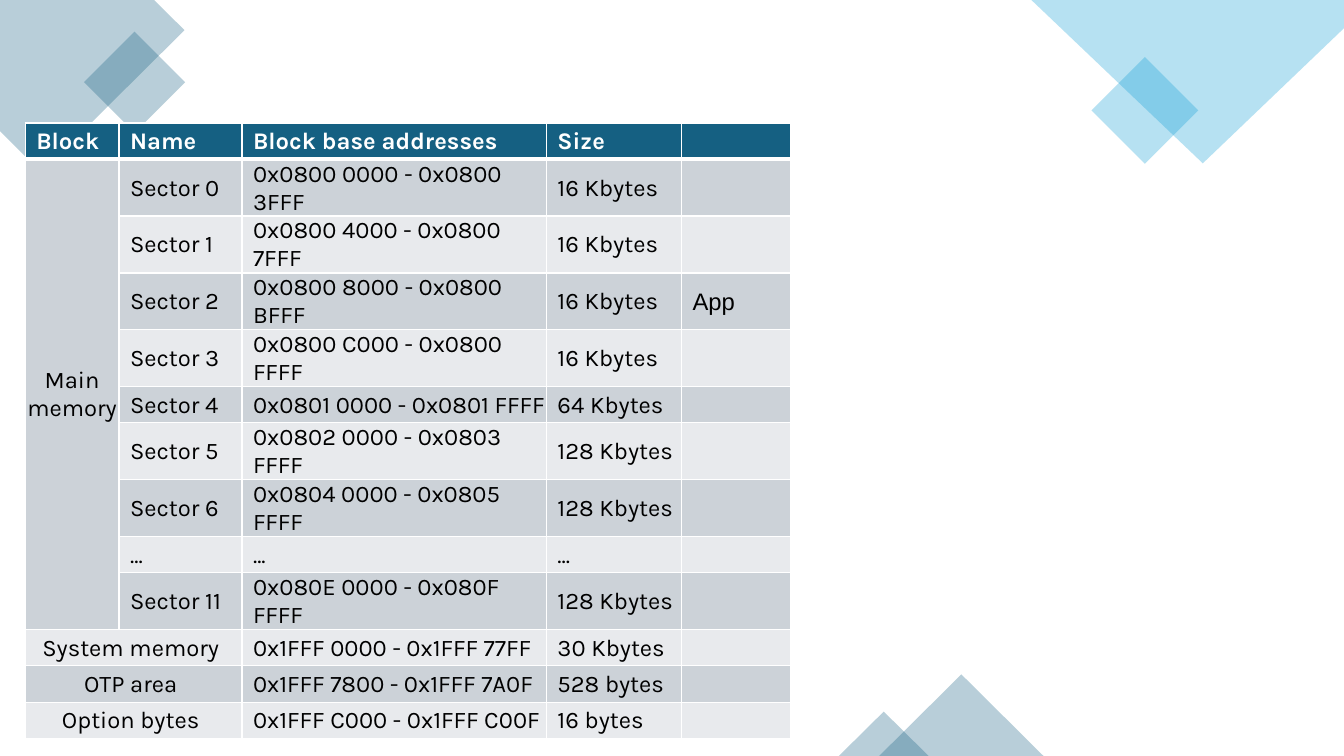
from lxml import etree
from pptx import Presentation
from pptx.dml.color import RGBColor
from pptx.enum.shapes import MSO_SHAPE
from pptx.enum.text import MSO_ANCHOR, PP_ALIGN
from pptx.oxml.ns import qn
from pptx.util import Pt

SCALE = 9144
RECTANGLE = MSO_SHAPE.RECTANGLE
TRIANGLE = MSO_SHAPE.ISOSCELES_TRIANGLE
MIDDLE = MSO_ANCHOR.MIDDLE
LEFT, CENTER = PP_ALIGN.LEFT, PP_ALIGN.CENTER
COLORS = {
    "teal": "156082",
    "sky": "0F9ED5",
    "white": "FFFFFF",
    "black": "000000",
    "dark_band": "CCD2D8",
    "light_band": "E8EAED",
}
COLUMN_WIDTHS = [93, 122, 302, 134, 108]
ROW_HEIGHT = 36
HEADER = ["Block", "Name", "Block base addresses", "Size", ""]
SECTORS = [
    ["Sector 0", "0x0800 0000 - 0x0800 3FFF", "16 Kbytes", ""],
    ["Sector 1", "0x0800 4000 - 0x0800 7FFF", "16 Kbytes", ""],
    ["Sector 2", "0x0800 8000 - 0x0800 BFFF", "16 Kbytes", "App"],
    ["Sector 3", "0x0800 C000 - 0x0800 FFFF", "16 Kbytes", ""],
    ["Sector 4", "0x0801 0000 - 0x0801 FFFF", "64 Kbytes", ""],
    ["Sector 5", "0x0802 0000 - 0x0803 FFFF", "128 Kbytes", ""],
    ["Sector 6", "0x0804 0000 - 0x0805 FFFF", "128 Kbytes", ""],
    ["...", "...", "...", ""],
    ["Sector 11", "0x080E 0000 - 0x080F FFFF", "128 Kbytes", ""],
]
OTHER_AREAS = [
    ["System memory ", "", "0x1FFF 0000 - 0x1FFF 77FF", "30 Kbytes", ""],
    ["OTP area ", "", "0x1FFF 7800 - 0x1FFF 7A0F", "528 bytes", ""],
    ["Option bytes ", "", "0x1FFF C000 - 0x1FFF C00F", "16 bytes", ""],
]


def px(length):
    return length * SCALE


def rgb(color):
    return RGBColor.from_string(COLORS[color])


def make_translucent(shape, color):
    shape.shadow.inherit = False
    shape.line.fill.background()
    shape.fill.solid()
    shape.fill.fore_color.rgb = rgb(color)
    tint = shape.element.spPr.find(qn("a:solidFill")).find(qn("a:srgbClr"))
    etree.SubElement(tint, qn("a:alpha")).set("val", "30000")


def add_preset(slide, kind, box, color, rotation=0):
    shape = slide.shapes.add_shape(kind, *map(px, box))
    shape.rotation = rotation
    make_translucent(shape, color)


def add_polygon(slide, box, points, color):
    left, top = box[:2]
    start, *others = [(left + x, top + y) for x, y in points]
    builder = slide.shapes.build_freeform(*start, scale=SCALE)
    builder.add_line_segments(others, close=True)
    make_translucent(builder.convert_to_shape(), color)


def add_top_left_corner(slide, box):
    left, top = box[:2]
    points = [(153, 0), (0, 0), (0, 130), (41, 171), (183, 30)]
    add_polygon(slide, box, points, "teal")
    add_preset(slide, RECTANGLE, (left + 98, top + 46, 71, 71), "teal", 315)


def add_top_right_corner(slide, box):
    left, top = box[:2]
    add_preset(slide, RECTANGLE, (left + 75, top + 72, 75, 75), "sky", 315)
    points = [(310, 0), (0, 0), (170, 162), (310, 28)]
    add_polygon(slide, box, points, "sky")


def add_bottom_peaks(slide, box):
    left, top = box[:2]
    add_preset(slide, TRIANGLE, (left + 40, top, 163, 81), "teal")
    add_preset(slide, TRIANGLE, (left, top + 37, 89, 44), "teal")


def write_text(cell, text, font="Karla", size=17, color="black", bold=False, align=LEFT):
    para = cell.text_frame.paragraphs[0]
    para.alignment = align
    if text:
        span = para.add_run()
        span.text = text
        span.font.name = font
        span.font.size = Pt(size)
        span.font.bold = bold
        span.font.color.rgb = rgb(color)


def set_borders(cell, bottom):
    properties = cell._tc.get_or_add_tcPr()
    widths = {"a:lnL": 1, "a:lnR": 1, "a:lnT": 1, "a:lnB": bottom}
    for index, (tag, width) in enumerate(widths.items()):
        line = etree.Element(qn(tag), w=str(Pt(width)))
        fill = etree.SubElement(line, qn("a:solidFill"))
        etree.SubElement(fill, qn("a:srgbClr")).set("val", COLORS["white"])
        properties.insert(index, line)


def format_cell(cell, fill, inset, bottom=1):
    cell.vertical_anchor = MIDDLE
    cell.margin_left = px(inset)
    cell.margin_top = cell.margin_right = px(1)
    cell.margin_bottom = 0
    cell.fill.solid()
    cell.fill.fore_color.rgb = rgb(fill)
    set_borders(cell, bottom)


def add_memory_table(slide, box):
    sector_rows = [["", *sector] for sector in SECTORS]
    sector_rows[0][0] = "Main memory"
    rows = [HEADER, *sector_rows, *OTHER_AREAS]
    table = slide.shapes.add_table(len(rows), len(HEADER), *map(px, box)).table
    for column, width in zip(table.columns, COLUMN_WIDTHS):
        column.width = px(width)
    for row in table.rows:
        row.height = px(ROW_HEIGHT)

    for row_index, texts in enumerate(rows):
        is_header = row_index == 0
        band = "dark_band" if row_index % 2 else "light_band"
        for column_index, text in enumerate(texts):
            cell = table.cell(row_index, column_index)
            is_area = column_index == 0 and not is_header
            format_cell(
                cell,
                "teal" if is_header else band,
                inset=1 if is_area else 11,
                bottom=3 if is_header else 1,
            )
            write_text(
                cell,
                text,
                font="Arial" if text == "App" else "Karla",
                color="white" if is_header else "black",
                bold=is_header,
                align=CENTER if is_area else LEFT,
            )

    last_sector = len(SECTORS)
    table.cell(1, 0).merge(table.cell(last_sector, 0))
    for row_index in range(last_sector + 1, len(rows)):
        table.cell(row_index, 0).merge(table.cell(row_index, 1))


def add_memory_slide(deck):
    slide = deck.slides.add_slide(deck.slide_layouts[6])
    add_top_left_corner(slide, (0, 0, 183, 171))
    add_top_right_corner(slide, (1023, 0, 310, 162))
    add_bottom_peaks(slide, (832, 669, 203, 81))
    add_memory_table(slide, (25, 122, 759, 467))


def main():
    deck = Presentation()
    deck.slide_width, deck.slide_height = px(1333), px(750)
    add_memory_slide(deck)
    deck.save("out.pptx")


if __name__ == "__main__":
    main()
